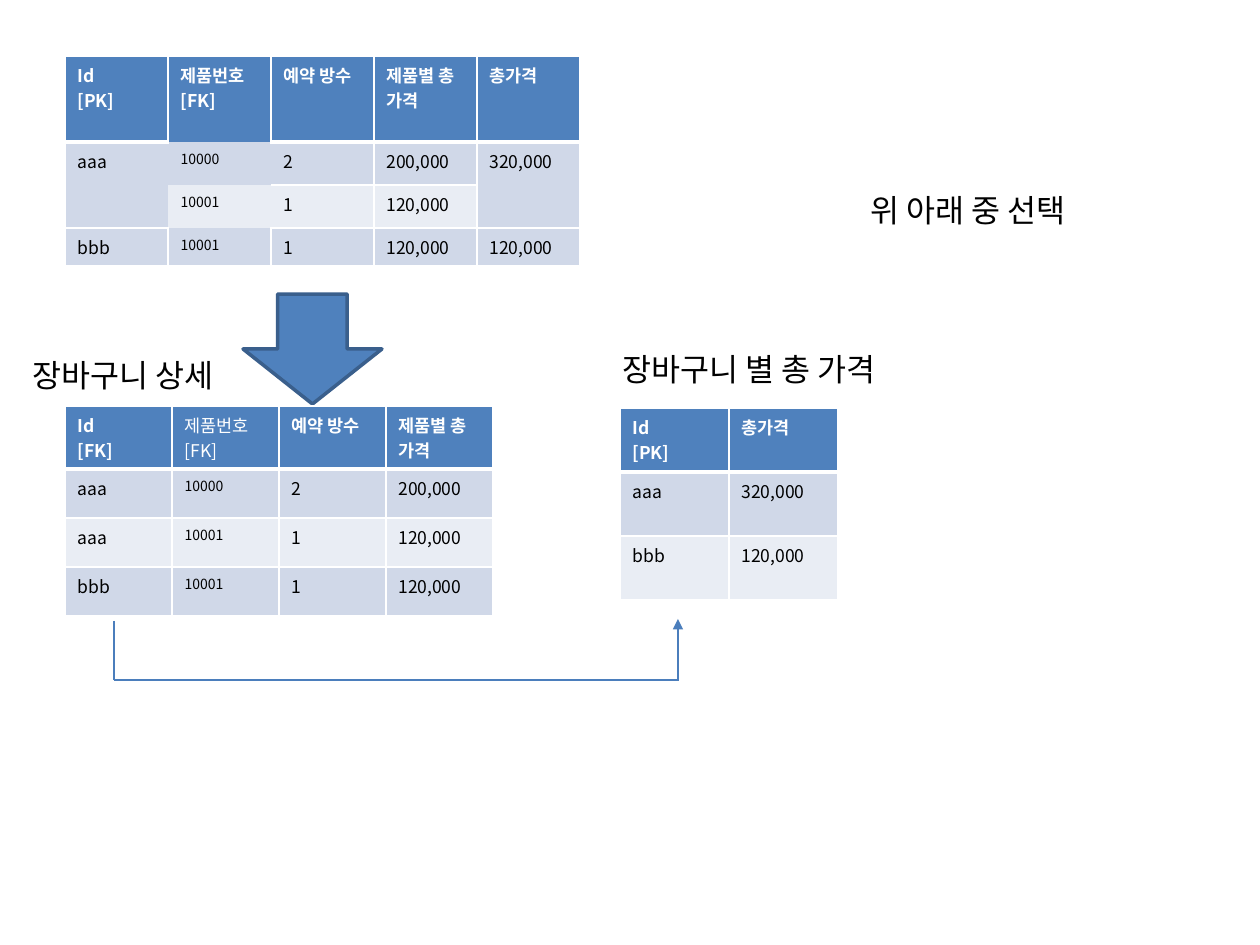
import dataclasses
import typing

import pptx
import pptx.dml.color
import pptx.enum.dml
import pptx.enum.shapes
import pptx.enum.text
import pptx.oxml.ns
import pptx.util
from lxml import etree

EMU_PER_PX = 914400 / 126
FONT = "Noto Sans CJK KR"
WHITE = pptx.dml.color.RGBColor(0xFF, 0xFF, 0xFF)
BLACK = pptx.dml.color.RGBColor(0x00, 0x00, 0x00)
HEADER = pptx.dml.color.RGBColor(0x4F, 0x81, 0xBD)
BAND_DARK = pptx.dml.color.RGBColor(0xD0, 0xD8, 0xE8)
BAND_LIGHT = pptx.dml.color.RGBColor(0xE9, 0xED, 0xF4)
OUTLINE = pptx.dml.color.RGBColor(0x3A, 0x5F, 0x8C)
LINK = pptx.dml.color.RGBColor(0x4B, 0x7E, 0xBC)
EDGES = {"lnL": (0, -1), "lnR": (0, 1), "lnT": (-1, 0), "lnB": (1, 0)}
Cells = frozenset[tuple[int, int]]


@dataclasses.dataclass(frozen=True)
class Grid:
    left: int
    top: int
    height: int
    col_width: int
    row_heights: tuple[int, ...]
    rows: tuple[tuple[str, ...], ...]
    product_col: int = -1
    plain_headers: Cells = frozenset()
    bare: Cells = frozenset()
    tall: Cells = frozenset()


@dataclasses.dataclass(frozen=True)
class Label:
    left: int
    top: int
    width: int
    text: str


@dataclasses.dataclass(frozen=True)
class Link:
    start: tuple[int, int]
    end: tuple[int, int]
    arrow: bool = False


GRIDS = (
    Grid(65, 56, 208, 103, (86, 43, 43, 37), (
        ("Id\n[PK]", "제품번호[FK]", "예약 방수", "제품별 총 가격", "총가격"),
        ("aaa", "10000", "2", "200,000", "320,000"),
        ("", "10001", "1", "120,000", ""),
        ("bbb", "10001", "1", "120,000", "120,000"),
    ), product_col=1, bare=frozenset({(1, 1), (2, 1)}), tall=frozenset({(1, 0), (1, 4)})),
    Grid(65, 406, 218, 107, (49,) * 4, (
        ("Id\n[FK]", "제품번호[FK]", "예약 방수", "제품별 총 가격"),
        ("aaa", "10000", "2", "200,000"),
        ("aaa", "10001", "1", "120,000"),
        ("bbb", "10001", "1", "120,000"),
    ), product_col=1, plain_headers=frozenset({(0, 1)})),
    Grid(620, 408, 204, 109, (64,) * 3, (
        ("Id\n[PK]", "총가격"),
        ("aaa", "320,000"),
        ("bbb", "120,000"),
    )),
)
LABELS = (
    Label(20, 350, 258, "장바구니 상세"),
    Label(610, 344, 338, "장바구니 별 총 가격"),
    Label(858, 185, 287, "위 아래 중 선택"),
)
LINKS = (
    Link((114, 621), (114, 680)),
    Link((114, 680), (679, 680)),
    Link((678, 680), (678, 619), arrow=True),
)


def px(n: int) -> int:
    return round(n * EMU_PER_PX)


def add_text(tf: typing.Any, text: str, size: int,
             color: pptx.dml.color.RGBColor, bold: bool = False) -> None:
    p = tf.paragraphs[0]
    for i, line in enumerate(text.split("\n")):
        if i:
            p.add_line_break()
        r = p.add_run()
        r.text = line
        r.font.name = FONT
        r.font.size = pptx.util.Pt(size)
        r.font.bold = bold
        r.font.color.rgb = color
        ea = etree.SubElement(r._r.get_or_add_rPr(), pptx.oxml.ns.qn("a:ea"))
        ea.set("typeface", FONT)


def edge_width(grid: Grid, row: int, col: int, edge: str) -> int:
    dr, dc = EDGES[edge]
    if {(row, col), (row + dr, col + dc)} & grid.bare:
        return 0
    return 3 if (row, edge) in ((0, "lnB"), (1, "lnT")) else 1


def set_borders(cell: typing.Any, widths: dict[str, int]) -> None:
    qn = pptx.oxml.ns.qn
    tcPr = cell._tc.get_or_add_tcPr()
    for i, (edge, width) in enumerate(widths.items()):
        ln = etree.Element(qn(f"a:{edge}"), w=str(pptx.util.Pt(width)))
        if width:
            fill = etree.SubElement(ln, qn("a:solidFill"))
            etree.SubElement(fill, qn("a:srgbClr"), val=str(WHITE))
        else:
            etree.SubElement(ln, qn("a:noFill"))
        tcPr.insert(i, ln)


def add_grid(s: typing.Any, grid: Grid) -> None:
    cols = len(grid.rows[0])
    gf = s.shapes.add_table(len(grid.rows), cols, px(grid.left), px(grid.top),
                            px(cols * grid.col_width), px(grid.height))
    table = gf.table
    for col in table.columns:
        col.width = px(grid.col_width)
    for row, height in zip(table.rows, grid.row_heights):
        row.height = px(height)
    gf.height = px(grid.height)
    for r, texts in enumerate(grid.rows):
        for c, text in enumerate(texts):
            cell = table.cell(r, c)
            cell.fill.solid()
            cell.fill.fore_color.rgb = HEADER if r == 0 else BAND_DARK if r % 2 else BAND_LIGHT
            set_borders(cell, {e: edge_width(grid, r, c, e) for e in EDGES})
            if text:
                size = 8 if r and c == grid.product_col else 10
                bold = r == 0 and (r, c) not in grid.plain_headers
                add_text(cell.text_frame, text, size, BLACK if r else WHITE, bold)
    for r, c in grid.tall:
        table.cell(r, c).merge(table.cell(r + 1, c))


def add_down_arrow(s: typing.Any) -> None:
    sp = s.shapes.add_shape(pptx.enum.shapes.MSO_SHAPE.DOWN_ARROW,
                            px(243), px(294), px(139), px(110))
    sp.shadow.inherit = False
    sp.fill.solid()
    sp.fill.fore_color.rgb = HEADER
    sp.line.color.rgb = OUTLINE
    sp.line.width = pptx.util.Pt(2)


def add_link(s: typing.Any, link: Link) -> None:
    qn = pptx.oxml.ns.qn
    sp = s.shapes.add_connector(pptx.enum.shapes.MSO_CONNECTOR.STRAIGHT,
                                *map(px, link.start + link.end))
    sp.line.color.rgb = LINK
    sp.line.width = pptx.util.Pt(0.75)
    if link.arrow:
        etree.SubElement(sp.line._get_or_add_ln(), qn("a:tailEnd"), type="triangle")
    etree.SubElement(sp._element.spPr, qn("a:effectLst"))


def add_label(s: typing.Any, label: Label) -> None:
    sp = s.shapes.add_textbox(px(label.left), px(label.top), px(label.width), px(50))
    tf = sp.text_frame
    tf.word_wrap = True
    tf.auto_size = pptx.enum.text.MSO_AUTO_SIZE.SHAPE_TO_FIT_TEXT
    add_text(tf, label.text, 18, BLACK)


def main() -> None:
    prs = pptx.Presentation()
    prs.slide_width, prs.slide_height = px(1260), px(945)
    s = prs.slides.add_slide(prs.slide_layouts[6])
    add_grid(s, GRIDS[0])
    add_down_arrow(s)
    for grid in GRIDS[1:]:
        add_grid(s, grid)
    for link in LINKS:
        add_link(s, link)
    for label in LABELS:
        add_label(s, label)
    prs.save("out.pptx")


if __name__ == "__main__":
    main()
